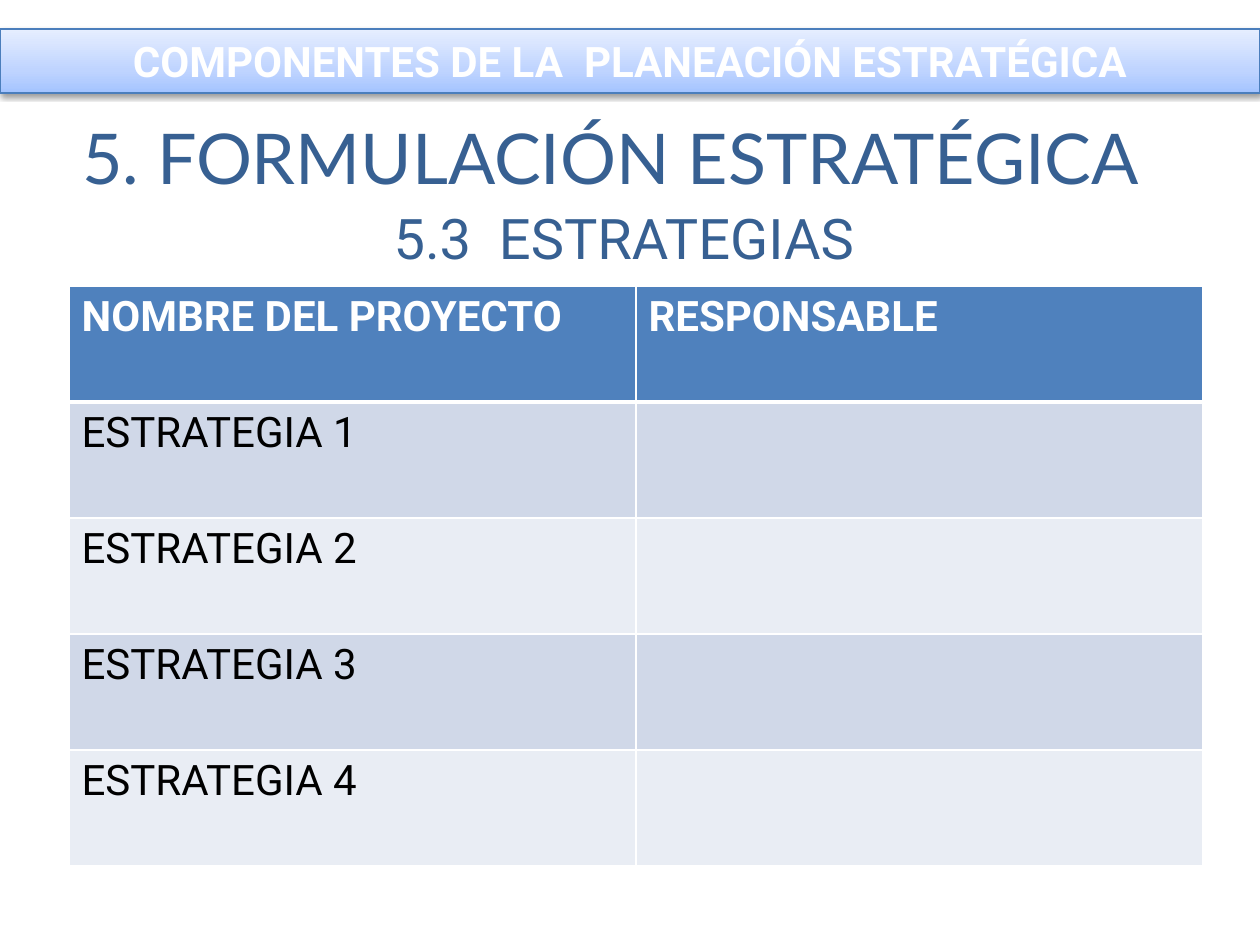
from lxml import etree
from pptx import Presentation
from pptx.dml.color import RGBColor
from pptx.enum.shapes import MSO_SHAPE as Shape
from pptx.enum.text import MSO_ANCHOR as Anchor, PP_ALIGN as Align
from pptx.oxml import parse_xml
from pptx.oxml.ns import nsdecls, qn
from pptx.util import Emu, Pt

WHITE = RGBColor(0xFF, 0xFF, 0xFF)
BLACK = RGBColor(0, 0, 0)
NAVY = RGBColor(0x37, 0x60, 0x92)
EDGE = RGBColor(0x4B, 0x7E, 0xBC)
HEAD = RGBColor(0x4F, 0x81, 0xBD)
BANDS = RGBColor(0xD0, 0xD8, 0xE8), RGBColor(0xE9, 0xED, 0xF4)
STOPS = (0, "A4C4FF"), (35, "BFD4FF"), (100, "E6EEFF")
ROWS = [("NOMBRE DEL PROYECTO", "RESPONSABLE")]
ROWS += [(f"ESTRATEGIA {n}", "") for n in range(1, 5)]


def px(n):
    return Emu(round(n * 914400 / 126))


def place(shape, x, y, w, h):
    shape.left, shape.top, shape.width, shape.height = map(px, (x, y, w, h))


def write(frame, text, size, face, color, bold=False, align=None):
    frame.word_wrap = True
    para = frame.paragraphs[0]
    para.text = text
    para.alignment = align
    font = para.font
    font.size, font.name, font.bold = Pt(size), face, bold
    font.color.rgb = color
    return para


def shade(blur, dist):
    return parse_xml(
        f'<a:effectLst {nsdecls("a")}><a:outerShdw blurRad="{Pt(blur)}" '
        f'dist="{Pt(dist)}" dir="5400000" rotWithShape="0"><a:srgbClr val="000000">'
        '<a:alpha val="38000"/></a:srgbClr></a:outerShdw></a:effectLst>')


def blend(shape):
    shape.fill.gradient()
    shape.fill.gradient_angle = 90
    stops = shape._element.spPr.find(qn("a:gradFill")).find(qn("a:gsLst"))
    for stop in list(stops):
        stops.remove(stop)
    for pos, color in STOPS:
        stop = etree.SubElement(stops, qn("a:gs"), pos=str(pos * 1000))
        etree.SubElement(stop, qn("a:srgbClr"), val=color)


def add_band(slide, text):
    band = slide.shapes.add_shape(Shape.RECTANGLE, 0, 0, 0, 0)
    place(band, 0, 29, 1260, 64)
    blend(band)
    band.line.color.rgb = EDGE
    band.line.width = Pt(0.75)
    band._element.spPr.append(shade(3.1, 1.6))
    para = write(band.text_frame, text, 24, "Roboto", WHITE, True, Align.CENTER)
    para.runs[0]._r.get_or_add_rPr().append(shade(4, 3))


def add_label(slide, text):
    box = slide.shapes.add_textbox(0, 0, 0, 0)
    place(box, 78, 197, 1092, 81)
    write(box.text_frame, text, 32, "Roboto", NAVY, align=Align.CENTER)


def set_title(slide, text):
    title = slide.shapes.title
    place(title, 0, 108, 1221, 97)
    title.text_frame.vertical_anchor = Anchor.TOP
    write(title.text_frame, text, 40, "Lato", NAVY, align=Align.CENTER)


def rule(cell, side, width):
    cell._tc.get_or_add_tcPr().append(parse_xml(
        f'<a:{side} {nsdecls("a")} w="{Pt(width)}"><a:solidFill>'
        f'<a:srgbClr val="{WHITE}"/></a:solidFill></a:{side}>'))


def add_grid(slide):
    grid = slide.shapes.add_table(
        len(ROWS), 2, px(69), px(286), px(1134), px(580)).table
    for r, row in enumerate(ROWS):
        head = r == 0
        for c, text in enumerate(row):
            cell = grid.cell(r, c)
            for side in ("lnL", "lnR", "lnT", "lnB"):
                thick = (head and side == "lnB") or (r == 1 and side == "lnT")
                rule(cell, side, 3 if thick else 1)
            cell.fill.solid()
            cell.fill.fore_color.rgb = HEAD if head else BANDS[(r - 1) % 2]
            write(cell.text_frame, text, 24, "Roboto", WHITE if head else BLACK, head)


def main():
    deck = Presentation()
    deck.slide_width, deck.slide_height = px(1260), px(945)
    slide = deck.slides.add_slide(deck.slide_layouts[5])
    add_grid(slide)
    add_band(slide, "COMPONENTES DE LA  PLANEACIÓN ESTRATÉGICA")
    set_title(slide, "5. FORMULACIÓN ESTRATÉGICA")
    add_label(slide, "5.3  ESTRATEGIAS")
    deck.save("out.pptx")


if __name__ == "__main__":
    main()
